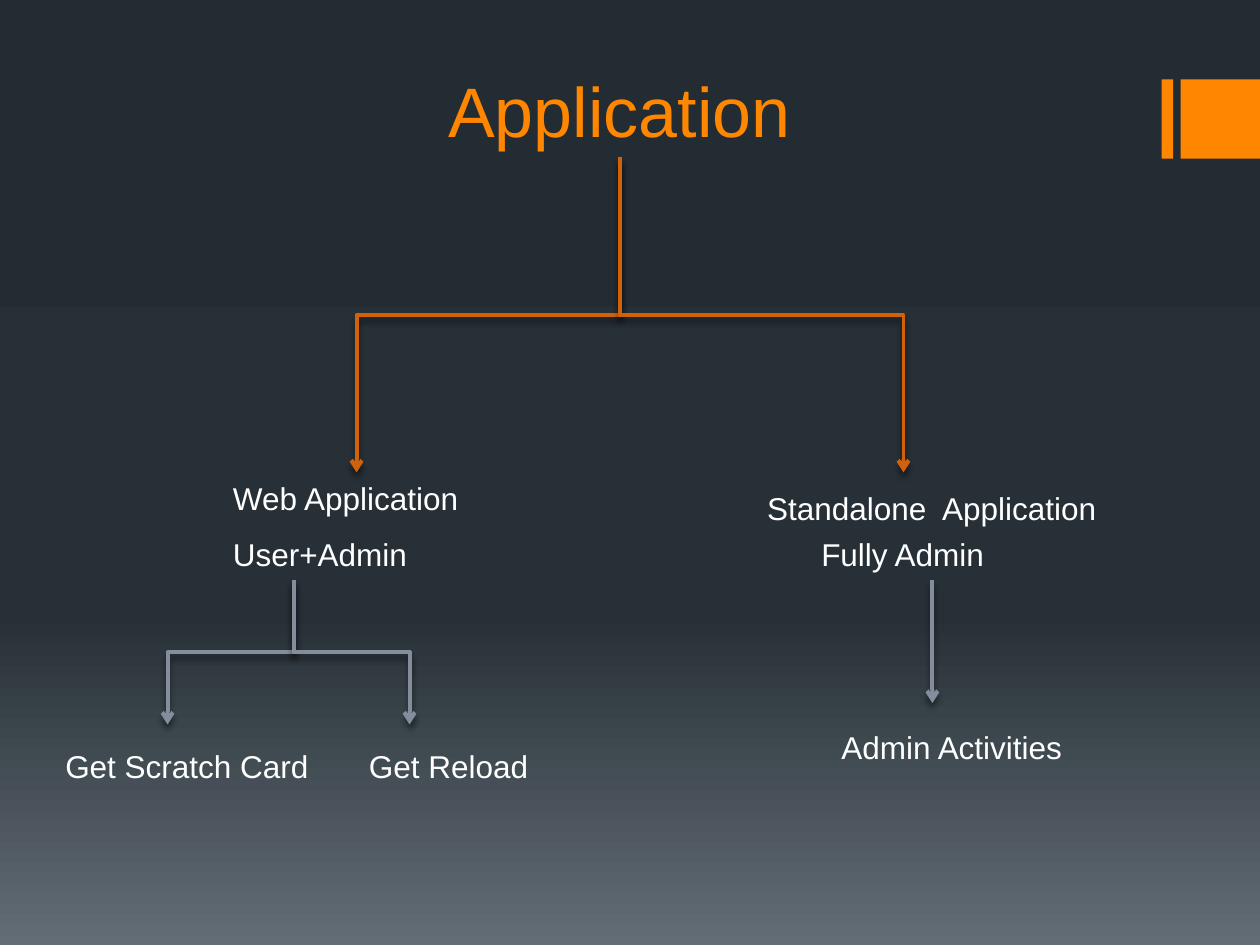
from copy import deepcopy
from dataclasses import dataclass

from lxml.etree import SubElement
from pptx import Presentation
from pptx.dml.color import RGBColor
from pptx.enum.shapes import MSO_CONNECTOR as LineKind, MSO_SHAPE as Preset
from pptx.enum.text import MSO_ANCHOR as Anchor, MSO_AUTO_SIZE as AutoSize, PP_ALIGN as Align
from pptx.oxml.ns import qn
from pptx.util import Inches, Pt

COLORS = {
    "orange": "FF8600",
    "rust": "D2610C",
    "steel": "838D9B",
    "white": "FFFFFF",
    "shadow": "000000",
}
BACKGROUND = [(0, "242C33"), (0.65, "273037"), (1, "636D76")]
FONT = "Arial"
LABEL_HEIGHT = 0.4


@dataclass
class Label:
    text: str
    left: float
    top: float
    width: float
    tab: float = 0


@dataclass
class Arrow:
    start: tuple[float, float]
    end: tuple[float, float]
    color: str


LABELS = [
    Label("Web Application", 1.75, 3.75, 2.58),
    Label("Standalone  Application", 5.99, 3.83, 2.83),
    Label("User+Admin", 1.75, 4.2, 1.92),
    Label("Fully Admin", 6.42, 4.2, 1.96),
    Label("Get Scratch Card\tGet Reload", 0.42, 5.88, 4.17, tab=2.41),
    Label("Admin Activities", 6.58, 5.73, 2.08),
]
ROOT, WEB, STANDALONE = (4.92, 1.25), (2.33, 4.6), (7.4, 4.6)
ARROWS = [
    Arrow(ROOT, (2.83, 3.75), "rust"),
    Arrow(ROOT, (7.17, 3.75), "rust"),
    Arrow(WEB, (1.33, 5.75), "steel"),
    Arrow(WEB, (3.25, 5.75), "steel"),
    Arrow(STANDALONE, (7.4, 5.58), "steel"),
]


def rgb(name: str) -> RGBColor:
    return RGBColor.from_string(COLORS[name])


def paint_background(page) -> None:
    fill = page.background.fill
    fill.gradient()
    fill.gradient_angle = 270
    stop_list = next(page._element.iter(qn("a:gsLst")))
    stop_list.append(deepcopy(stop_list[-1]))
    for stop, (position, color) in zip(fill.gradient_stops, BACKGROUND):
        stop.position = position
        stop.color.rgb = RGBColor.from_string(color)


def add_bar(page, left: float, width: float) -> None:
    bar = page.shapes.add_shape(
        Preset.RECTANGLE, Inches(left), Inches(0.63), Inches(width), Inches(0.63))
    bar.shadow.inherit = False
    bar.fill.solid()
    bar.fill.fore_color.rgb = rgb("orange")
    bar.line.fill.background()


def add_span(para, text: str, size: int, color: str) -> None:
    span = para.add_run()
    span.text = text
    span.font.name = FONT
    span.font.size = Pt(size)
    span.font.color.rgb = rgb(color)


def format_title(page) -> None:
    title = page.shapes.title
    title.left, title.top = Inches(3.08), Inches(0.38)
    title.width, title.height = Inches(3.67), Inches(0.87)
    title.text_frame.vertical_anchor = Anchor.BOTTOM
    para = title.text_frame.paragraphs[0]
    para.alignment = Align.CENTER
    add_span(para, "Application", 40, "orange")


def add_label(page, label: Label) -> None:
    box = page.shapes.add_textbox(
        Inches(label.left), Inches(label.top), Inches(label.width), Inches(LABEL_HEIGHT))
    frame = box.text_frame
    frame.word_wrap = True
    frame.auto_size = AutoSize.SHAPE_TO_FIT_TEXT
    para = frame.paragraphs[0]
    if label.tab:
        tabs = SubElement(para._p.get_or_add_pPr(), qn("a:tabLst"))
        SubElement(tabs, qn("a:tab"), pos=str(Inches(label.tab)), algn="l")
    add_span(para, label.text, 18, "white")


def add_shadow(properties) -> None:
    effects = SubElement(properties, qn("a:effectLst"))
    shadow = SubElement(effects, qn("a:outerShdw"), blurRad=str(Pt(3.8)),
                        dist=str(Pt(3)), dir="5400000", rotWithShape="0")
    color = SubElement(shadow, qn("a:srgbClr"), val=COLORS["shadow"])
    SubElement(color, qn("a:alpha"), val="48000")


def add_arrow(page, arrow: Arrow) -> None:
    (x1, y1), (x2, y2) = arrow.start, arrow.end
    kind, turn = LineKind.STRAIGHT, None
    if x1 != x2:
        # An elbow that leaves downwards is a quarter-turned box about the same centre
        kind = LineKind.ELBOW
        turn = "5400000" if x2 < x1 else "16200000"
        middle_x, middle_y = (x1 + x2) / 2, (y1 + y2) / 2
        half_width, half_height = (y2 - y1) / 2, abs(x2 - x1) / 2
        side = 1 if x2 < x1 else -1
        x1, x2 = middle_x - side * half_width, middle_x + side * half_width
        y1, y2 = middle_y - half_height, middle_y + half_height
    connector = page.shapes.add_connector(
        kind, Inches(x1), Inches(y1), Inches(x2), Inches(y2))
    properties = connector._element.spPr
    if turn:
        properties.find(qn("a:xfrm")).set("rot", turn)
    connector.line.color.rgb = rgb(arrow.color)
    connector.line.width = Pt(2.25)
    SubElement(properties.find(qn("a:ln")), qn("a:tailEnd"), type="arrow")
    add_shadow(properties)


deck = Presentation()
deck.slide_width, deck.slide_height = Inches(10), Inches(7.5)
page = deck.slides.add_slide(deck.slide_layouts[5])

# Background, corner bars and title
paint_background(page)
for left, width in [(9.22, 0.09), (9.37, 0.63)]:
    add_bar(page, left, width)
format_title(page)

# Tree of applications
for arrow in ARROWS:
    add_arrow(page, arrow)
for label in LABELS:
    add_label(page, label)

deck.save("out.pptx")
